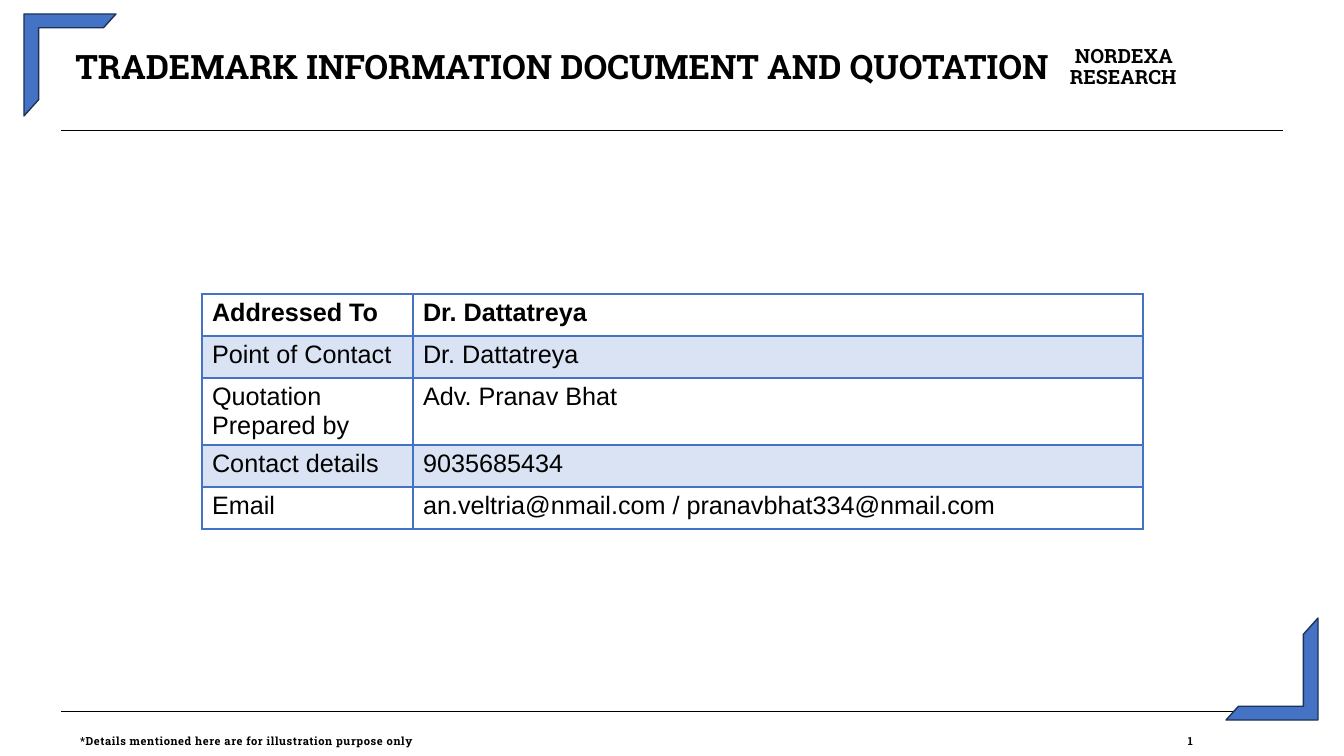
from lxml import etree
from pptx import Presentation, util as u
from pptx.dml.color import RGBColor
from pptx.enum import shapes, text
from pptx.oxml.ns import qn

PX = 9071.43
BLUE, BAND, NAVY = "4472C4", "DAE3F3", "1E3256"
BLACK, WHITE = "000000", "FFFFFF"


def px(*values):
    return [u.Emu(round(v * PX)) for v in values]


def rgb(hex_string):
    return RGBColor.from_string(hex_string)


class Deck:
    """Holds the slide and its style, with a method for each kind of element."""

    heading, body = "Roboto Slab", "Arial"

    def __init__(self, width, height):
        self.prs = Presentation()
        self.prs.slide_width, self.prs.slide_height = px(width, height)
        self.s = self.prs.slides.add_slide(self.prs.slide_layouts[5])

    def run(self, p, words, size, font, bold=True, spacing=0):
        r = p.add_run()
        r.text = words
        r.font.size, r.font.name, r.font.bold = u.Pt(size), font, bold
        r.font.color.rgb = rgb(BLACK)
        if spacing:
            r.font._element.set("spc", str(spacing))

    def frame(self, sp, wrap):
        tf = sp.text_frame
        tf.margin_left = tf.margin_right = tf.margin_top = tf.margin_bottom = 0
        tf.word_wrap, tf.auto_size = wrap, text.MSO_AUTO_SIZE.NONE
        tf.vertical_anchor = text.MSO_ANCHOR.TOP
        return tf

    def title(self, box, words):
        sp = self.s.shapes.title
        sp.left, sp.top, sp.width, sp.height = px(*box)
        p = self.frame(sp, False).paragraphs[0]
        p.alignment = text.PP_ALIGN.CENTER
        self.run(p, words, 24, self.heading)

    def label(self, box, lines, size, spacing=0, pitch=None):
        tf = self.frame(self.s.shapes.add_textbox(*px(*box)), True)
        for i, (words, indent) in enumerate(lines):
            p = tf.add_paragraph() if i else tf.paragraphs[0]
            if indent:
                p._p.get_or_add_pPr().set("marL", str(px(indent)[0]))
            if pitch:
                p.line_spacing = u.Pt(pitch)
            self.run(p, words, size, self.heading, spacing=spacing)

    def rule(self, x1, x2, y):
        c = self.s.shapes.add_connector(shapes.MSO_CONNECTOR.STRAIGHT, *px(x1, y, x2, y))
        c.line.color.rgb, c.line.width = rgb(BLACK), u.Pt(0.48)
        etree.SubElement(c._element.spPr, qn("a:effectLst"))

    def corner(self, x, y, rotation):
        sp = self.s.shapes.add_shape(shapes.MSO_SHAPE.HALF_FRAME, *px(x, y, 92, 102))
        sp.adjustments[0], sp.adjustments[1] = 0.15, 0.16
        sp.rotation, sp.shadow.inherit = rotation, False
        sp.fill.solid()
        sp.fill.fore_color.rgb = rgb(BLUE)
        sp.line.color.rgb, sp.line.width = rgb(NAVY), u.Pt(1)

    def border(self, cell, side, width):
        tc_pr = cell._tc.get_or_add_tcPr()
        ln = etree.SubElement(tc_pr, qn("a:" + side), w=str(u.Pt(width)))
        fill = etree.SubElement(ln, qn("a:solidFill"))
        etree.SubElement(fill, qn("a:srgbClr"), val=BLUE)

    def table(self, x, y, widths, heights, rows):
        box = px(x, y, sum(widths), sum(heights))
        t = self.s.shapes.add_table(len(rows), len(widths), *box).table
        t.first_row = t.horz_banding = False
        for column, width in zip(t.columns, px(*widths)):
            column.width = width
        for i, (row, height) in enumerate(zip(rows, px(*heights))):
            t.rows[i].height = height
            for j, words in enumerate(row):
                cell = t.cell(i, j)
                for side in ("lnL", "lnR", "lnT", "lnB"):
                    thick = (i, side) in ((0, "lnB"), (1, "lnT"))
                    self.border(cell, side, 2 if thick else 1)
                cell.fill.solid()
                cell.fill.fore_color.rgb = rgb(BAND if i % 2 else WHITE)
                p = cell.text_frame.paragraphs[0]
                self.run(p, words, 18, self.body, bold=i == 0)


def main():
    d = Deck(1344, 756)
    for y in (711, 130):
        d.rule(61, 1283, y)
    d.title((62, 46, 1000, 44), "TRADEMARK INFORMATION DOCUMENT AND QUOTATION")
    d.label((1070, 46, 121, 43), [("NORDEXA", 5), ("RESEARCH", 0)], 14, pitch=15)
    d.corner(24, 14, 0)
    d.corner(1226, 618, 180)
    d.label((80, 734, 500, 18),
            [("*Details mentioned here are for illustration purpose only", 0)], 8, 40)
    d.label((1188, 734, 40, 18), [("1", 0)], 8)
    d.table(202, 294, (211, 730), (42, 42, 67, 42, 42), [
        ("Addressed To", "Dr. Dattatreya"),
        ("Point of Contact", "Dr. Dattatreya"),
        ("Quotation Prepared by", "Adv. Pranav Bhat"),
        ("Contact details", "9035685434"),
        ("Email", "an.veltria@nmail.com / pranavbhat334@nmail.com"),
    ])
    d.prs.save("out.pptx")


if __name__ == "__main__":
    main()
